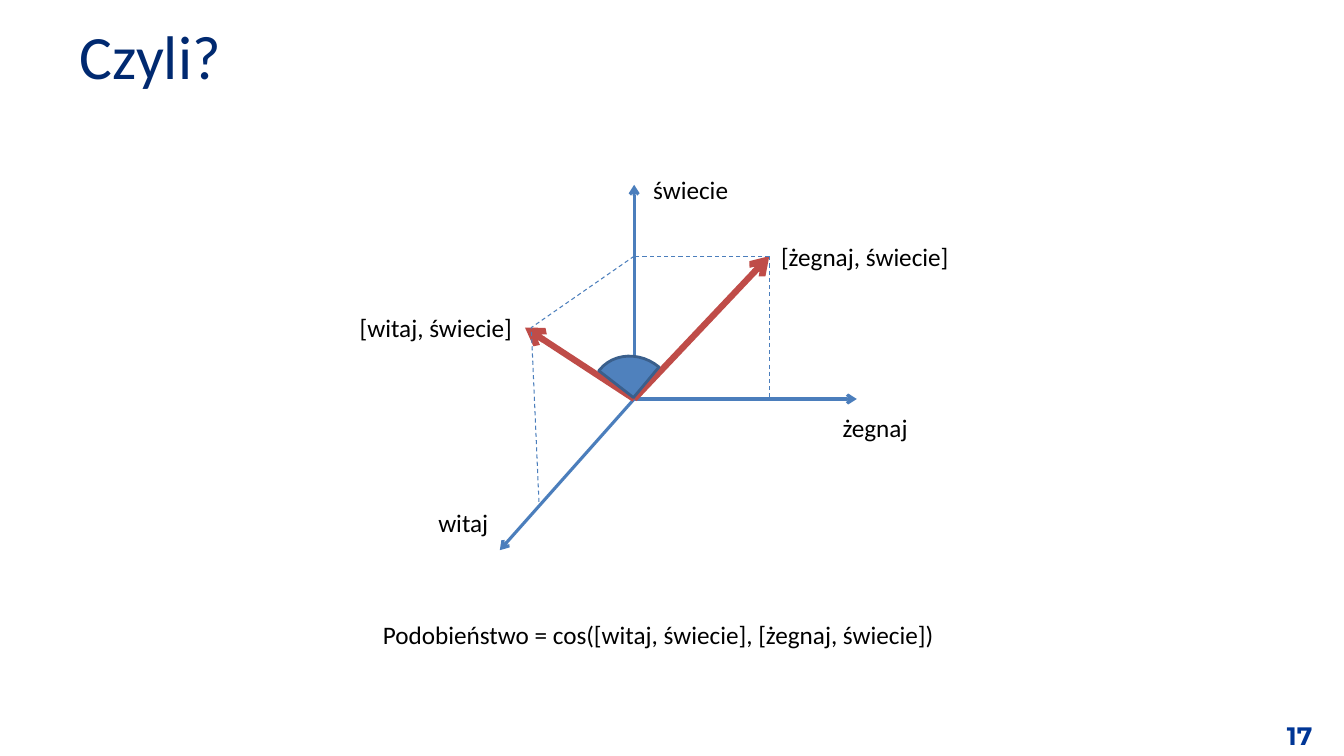
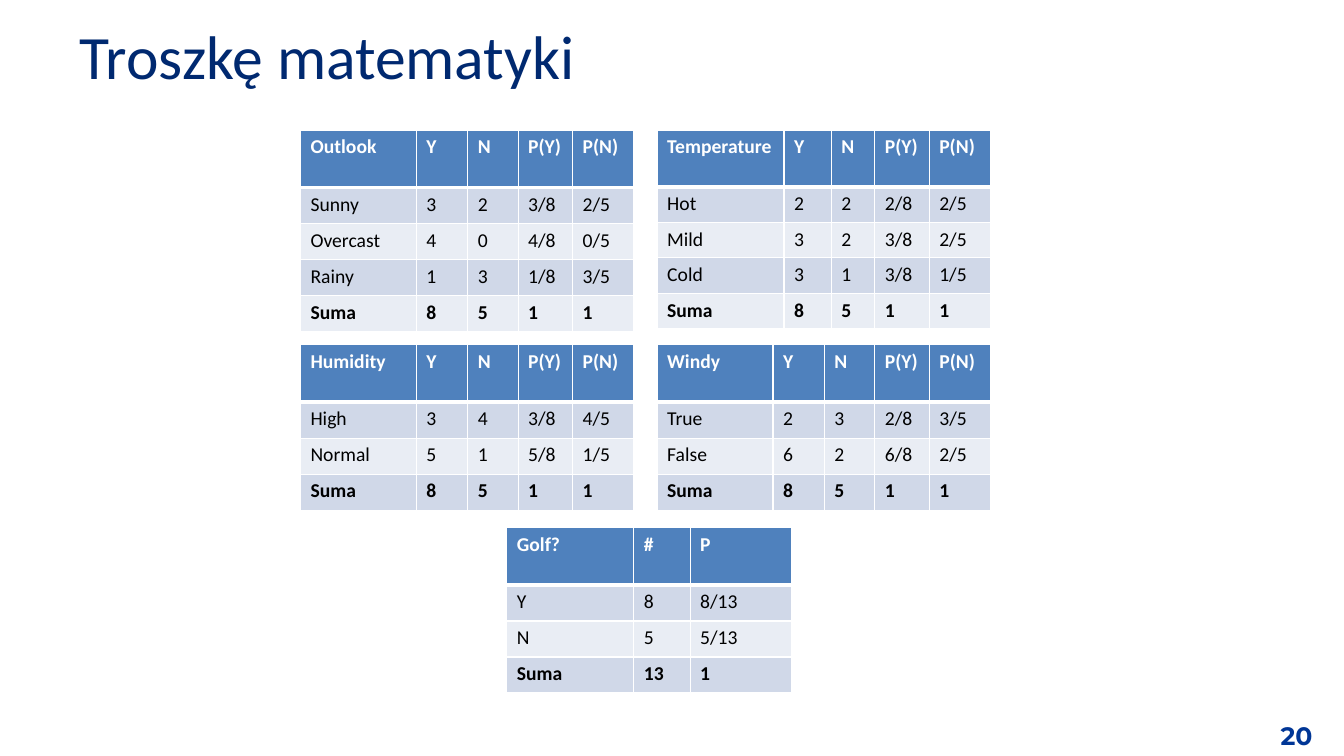
from lxml import etree
from pptx import Presentation
from pptx.dml.color import RGBColor
from pptx.enum.dml import MSO_LINE_DASH_STYLE as Dash
from pptx.enum.shapes import MSO_CONNECTOR as Connector, MSO_SHAPE as Shape
from pptx.enum.text import MSO_ANCHOR as Anchor, MSO_AUTO_SIZE as AutoSize, PP_ALIGN as Align
from pptx.oxml import parse_xml
from pptx.oxml.ns import nsdecls, qn
from pptx.util import Pt

NAVY = RGBColor(0x00, 0x29, 0x70)
ROYAL = RGBColor(0x00, 0x36, 0x96)
BLUE = RGBColor(0x4F, 0x81, 0xBD)
AXIS_BLUE = RGBColor(0x4B, 0x7E, 0xBC)
EDGE_BLUE = RGBColor(0x3A, 0x5F, 0x8C)
RED = RGBColor(0xBF, 0x4C, 0x48)
BAND_DARK = RGBColor(0xD0, 0xD8, 0xE8)
BAND_LIGHT = RGBColor(0xE9, 0xED, 0xF4)
WHITE = RGBColor(0xFF, 0xFF, 0xFF)
BLACK = RGBColor(0, 0, 0)


class Deck:
    """Holds the shared style and the slide being filled."""

    body_font = "Calibri"
    number_font = "Montserrat"

    def __init__(self):
        self.deck = Presentation()
        self.deck.slide_width, self.deck.slide_height = Pt(960), Pt(540)
        self.page = None

    def new_page(self, title, number):
        self.page = self.deck.slides.add_slide(self.deck.slide_layouts[6])
        heading = self.text(title, 49.7, 0, 828, 85, size=44, color=NAVY, anchor=Anchor.MIDDLE)
        heading.paragraphs[0].line_spacing = 0.9
        footer = self.text(number, 728.6, 511.2, 216, 28.8, color=ROYAL, bold=True,
                           font=self.number_font, anchor=Anchor.MIDDLE)
        footer.paragraphs[0].alignment = Align.RIGHT

    def add_span(self, para, words, size, color, bold=False, font=body_font):
        span = para.add_run()
        span.text = words
        span.font.name, span.font.size, span.font.bold = font, Pt(size), bold
        span.font.color.rgb = color

    def text(self, words, left, top, width, height, size=18, color=BLACK, bold=False,
             font=body_font, anchor=Anchor.TOP):
        box = self.page.shapes.add_textbox(Pt(left), Pt(top), Pt(width), Pt(height))
        frame = box.text_frame
        frame.word_wrap, frame.vertical_anchor = True, anchor
        self.add_span(frame.paragraphs[0], words, size, color, bold, font)
        return frame

    def label(self, words, left, top, width):
        frame = self.text(words, left, top, width, 29)
        frame.word_wrap, frame.auto_size = False, AutoSize.SHAPE_TO_FIT_TEXT

    def line(self, start, end, color=AXIS_BLUE, weight=0.75, dash=None, arrow=False):
        line = self.page.shapes.add_connector(Connector.STRAIGHT, *map(Pt, start + end))
        line.line.color.rgb, line.line.width = color, Pt(weight)
        if dash:
            line.line.dash_style = dash
        props = line._element.spPr
        if arrow:
            etree.SubElement(props.find(qn("a:ln")), qn("a:tailEnd")).set("type", "arrow")
        etree.SubElement(props, qn("a:effectLst"))

    def pie(self, left, top, width, height, rotation, angles):
        pie = self.page.shapes.add_shape(Shape.PIE, Pt(left), Pt(top), Pt(width), Pt(height))
        pie.shadow.inherit = False
        pie.rotation = rotation
        for index, angle in enumerate(angles):
            pie.adjustments[index] = angle * 0.6  # 60000ths of a degree over 100000
        pie.fill.solid()
        pie.fill.fore_color.rgb = BLUE
        pie.line.color.rgb, pie.line.width = EDGE_BLUE, Pt(2)

    def borders(self, cell, top, bottom):
        props = cell._tc.get_or_add_tcPr()
        for side, weight in (("L", 1), ("R", 1), ("T", top), ("B", bottom)):
            props.append(parse_xml(
                f'<a:ln{side} {nsdecls("a")} w="{Pt(weight)}"><a:solidFill>'
                f'<a:srgbClr val="{WHITE}"/></a:solidFill></a:ln{side}>'))

    def table(self, left, top, widths, rows, head=41, body=25.75):
        """First row is the header, last row the bold total."""
        heights = [head] + [body] * (len(rows) - 1)
        table = self.page.shapes.add_table(
            len(rows), len(widths), Pt(left), Pt(top), Pt(sum(widths)), Pt(sum(heights))).table
        for column, width in zip(table.columns, widths):
            column.width = Pt(width)
        last = len(rows) - 1
        for r, (row, height) in enumerate(zip(rows, heights)):
            table.rows[r].height = Pt(height)
            fill = BLUE if r == 0 else BAND_DARK if r % 2 else BAND_LIGHT
            for c, words in enumerate(row.split()):
                cell = table.cell(r, c)
                self.borders(cell, 3 if r == 1 else 1, 3 if r == 0 else 1)
                cell.fill.solid()
                cell.fill.fore_color.rgb = fill
                self.add_span(cell.text_frame.paragraphs[0], words, 14,
                              BLACK if r else WHITE, bold=r in (0, last))


def vectors_page(deck):
    deck.new_page("Czyli?", "17")
    origin, hello, goodbye = (453, 285), (375, 234), (549.5, 183)

    # Axes and their names
    for tip in ((453, 132), (612, 285), (357, 393)):
        deck.line(origin, tip, weight=2.25, arrow=True)
    deck.label("świecie", 459.4, 121, 68.4)
    deck.label("żegnaj", 594.7, 291, 62)
    deck.label("witaj", 306, 358.6, 50.4)

    # Vectors and their projections
    for tip in (goodbye, hello):
        deck.line(origin, tip, color=RED, weight=4.5, arrow=True)
    world, corner = (origin[0], goodbye[1]), (379.5, hello[1])
    for start, end in ((goodbye, (goodbye[0], origin[1])), (goodbye, world),
                       (world, corner), ((385, 358.5), corner)):
        deck.line(start, end, dash=Dash.DASH)

    # Angle between the vectors
    deck.pie(421.2, 255.6, 62.6, 56.9, 39.9, (177.89, 270))
    deck.label("[witaj, świecie]", 249.8, 219.6, 124.6)
    deck.label("[żegnaj, świecie]", 550.8, 168.5, 135.4)
    deck.label("Podobieństwo = cos([witaj, świecie], [żegnaj, świecie])", 266.4, 438.5, 412.6)


def tables_page(deck):
    deck.new_page("Troszkę matematyki", "20")
    left, right = 214.6, 469.4
    upper, middle, lower = 93, 246.3, 376.8
    widths = [82.8, 36.7, 36, 38.9, 43.9]
    columns, total = " Y N P(Y) P(N)", "Suma 8 5 1 1"

    # Weather features
    deck.table(left, upper, widths, [
        "Outlook" + columns, "Sunny 3 2 3/8 2/5", "Overcast 4 0 4/8 0/5",
        "Rainy 1 3 1/8 3/5", total])
    deck.table(right, upper, [90.7, 33.8, 31, 38.9, 43.9], [
        "Temperature" + columns, "Hot 2 2 2/8 2/5", "Mild 3 2 3/8 2/5",
        "Cold 3 1 3/8 1/5", total], head=40.5, body=25.35)
    deck.table(left, middle, widths, [
        "Humidity" + columns, "High 3 4 3/8 4/5", "Normal 5 1 5/8 1/5", total])
    deck.table(right, middle, widths, [
        "Windy" + columns, "True 2 3 2/8 3/5", "False 6 2 6/8 2/5", total])

    # Outcome
    deck.table(362, lower, [90.7, 40.3, 72.7], [
        "Golf? # P", "Y 8 8/13", "N 5 5/13", "Suma 13 1"])


def main():
    deck = Deck()
    vectors_page(deck)
    tables_page(deck)
    deck.deck.save("out.pptx")


if __name__ == "__main__":
    main()
